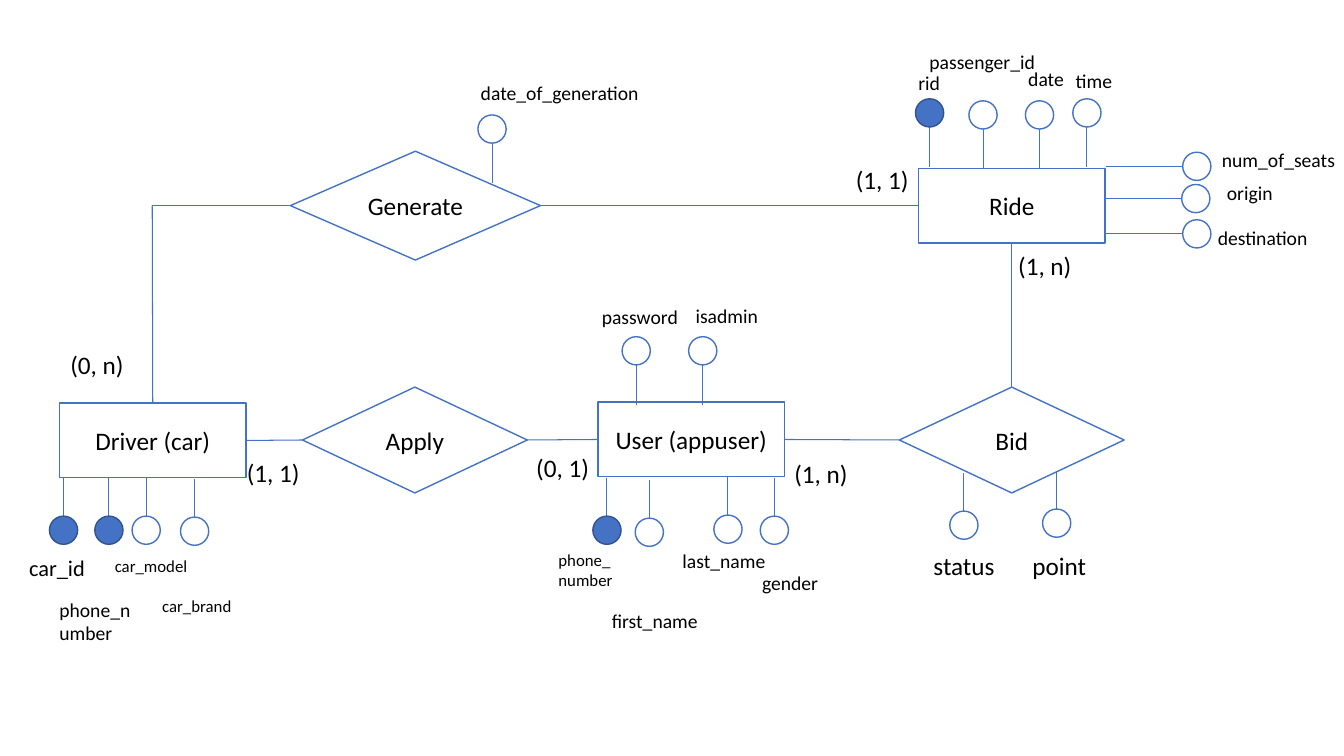
"""Build an entity-relationship diagram of a ride-sharing database."""
from pptx import Presentation
from pptx.dml.color import RGBColor
from pptx.enum.shapes import MSO_CONNECTOR as CONNECTOR, MSO_SHAPE as SHAPE
from pptx.enum.text import MSO_ANCHOR as ANCHOR, PP_ALIGN as ALIGN
from pptx.oxml.ns import qn
from pptx.util import Inches, Pt
from lxml.etree import SubElement

BLUE = RGBColor(0x44, 0x72, 0xC4)
DARK_BLUE = RGBColor(0x31, 0x53, 0x8F)
WHITE = RGBColor(0xFF, 0xFF, 0xFF)
BLACK = RGBColor(0, 0, 0)
FONT = "Calibri"
TOP, LEFT, BOTTOM, RIGHT = range(4)
DIAMETER = 0.28
STEMS = {"up": (0, -1, 0.4), "down": (0, 1, 0.38), "right": (1, 0, 0.76)}

# direction, circle left and top, name, label left, top and width, size, lines, key
ATTRIBUTES = [
    ("down", 0.49, 5.12, "car_id", 0.19, 5.45, 0.95, 16, 1, True),
    ("down", 0.94, 5.12, "phone_number", 0.49, 5.88, 0.96, 14, 2, True),
    ("down", 1.31, 5.12, "car_model", 1.04, 5.46, 1.02, 12, 1, False),
    ("down", 1.79, 5.13, "car_brand", 1.51, 5.86, 1.01, 12, 1, False),
    ("down", 5.88, 5.12, "phone_\nnumber", 5.44, 5.4, 1.15, 12, 2, True),
    ("down", 6.3, 5.14, "first_name", 5.97, 5.99, 1.24, 14, 2, False),
    ("down", 7.08, 5.11, "last_name", 6.67, 5.4, 1.24, 14, 2, False),
    ("down", 7.54, 5.12, "gender", 7.46, 5.61, 0.83, 14, 1, False),
    ("up", 6.17, 3.34, "password", 5.87, 2.98, 0.99, 14, 1, False),
    ("up", 6.83, 3.34, "isadmin", 6.8, 2.97, 0.99, 14, 1, False),
    ("down", 9.42, 5.07, "status", 9.16, 5.41, 0.83, 18, 1, False),
    ("down", 10.34, 5.05, "point", 10.14, 5.41, 0.82, 18, 1, False),
    ("up", 9.08, 0.98, "rid", 9.01, 0.65, 0.55, 14, 1, True),
    ("up", 9.61, 1, "passenger_id", 9.12, 0.45, 1.34, 14, 1, False),
    ("up", 10.17, 1, "date", 10.1, 0.61, 0.56, 14, 1, False),
    ("up", 10.64, 0.98, "time", 10.57, 0.63, 0.56, 14, 1, False),
    ("right", 11.73, 1.51, "num_of_seats", 12.02, 1.42, 1.41, 14, 1, False),
    ("right", 11.72, 1.83, "origin", 12.07, 1.75, 0.67, 14, 1, False),
    ("right", 11.73, 2.18, "destination", 11.98, 2.19, 1.2, 14, 1, False),
    ("up", 4.74, 1.14, "date_of_generation", 4.67, 0.75, 1.96, 14, 1, False),
]
CARDINALITIES = [
    ("(0, n)", 0.6, 3.42), ("(1, 1)", 2.35, 4.49), ("(0, 1)", 5.22, 4.44),
    ("(1, n)", 7.78, 4.5), ("(1, 1)", 8.39, 1.58), ("(1, n)", 10, 2.43),
]


def style_text(frame, size):
    """Set the font of every paragraph in a text frame."""
    for paragraph in frame.paragraphs:
        paragraph.font.name = FONT
        paragraph.font.size = Pt(size)
        paragraph.font.color.rgb = BLACK


def add_outlined(slide, kind, left, top, width, height, fill=WHITE, outline=BLUE):
    """Add a filled preset shape with a thin outline."""
    figure = slide.shapes.add_shape(
        kind, Inches(left), Inches(top), Inches(width), Inches(height))
    figure.shadow.inherit = False
    figure.fill.solid()
    figure.fill.fore_color.rgb = fill
    figure.line.color.rgb = outline
    figure.line.width = Pt(1)
    return figure


def add_node(slide, kind, name, left, top, width, height):
    """Add a named entity or relationship."""
    node = add_outlined(slide, kind, left, top, width, height)
    frame = node.text_frame
    frame.text = name
    frame.vertical_anchor = ANCHOR.MIDDLE
    frame.paragraphs[0].alignment = ALIGN.CENTER
    style_text(frame, 18)
    return node


def add_entity(slide, name, left, top):
    """Add an entity rectangle."""
    return add_node(slide, SHAPE.RECTANGLE, name, left, top, 1.85, 0.74)


def add_relationship(slide, name, left, top, width=2.23, height=1.05):
    """Add a relationship diamond."""
    return add_node(slide, SHAPE.DIAMOND, name, left, top, width, height)


def add_line(slide, x1, y1, x2, y2):
    """Add a thin straight line between two points."""
    line = slide.shapes.add_connector(
        CONNECTOR.STRAIGHT, Inches(x1), Inches(y1), Inches(x2), Inches(y2))
    line.line.color.rgb = BLUE
    line.line.width = Pt(0.75)
    SubElement(line._element.spPr, qn("a:effectLst"))
    return line


def join(slide, start, start_side, end, end_side):
    """Link the sides of two nodes."""
    link = add_line(slide, 0, 0, 0, 0)
    link.begin_connect(start, start_side)
    link.end_connect(end, end_side)


def add_label(slide, text, left, top, width, size, lines=1):
    """Add a text label as tall as its lines."""
    height = lines * size * 1.2 / 72 + 0.1
    label = slide.shapes.add_textbox(
        Inches(left), Inches(top), Inches(width), Inches(height))
    label.text_frame.word_wrap = True
    label.text_frame.text = text
    style_text(label.text_frame, size)


def add_attribute(slide, direction, left, top, name, label_left, label_top,
                  label_width, size, lines, is_key):
    """Add an attribute circle with its stem and label."""
    dx, dy, length = STEMS[direction]
    radius = DIAMETER / 2
    x = left + radius - dx * radius
    y = top + radius - dy * radius
    add_line(slide, x, y, x - dx * length, y - dy * length)
    fill, outline = (BLUE, DARK_BLUE) if is_key else (WHITE, BLUE)
    add_outlined(slide, SHAPE.OVAL, left, top, DIAMETER, DIAMETER, fill, outline)
    add_label(slide, name, label_left, label_top, label_width, size, lines)


def main():
    """Draw the diagram and save it."""
    deck = Presentation()
    deck.slide_width, deck.slide_height = Inches(13.33), Inches(7.5)
    slide = deck.slides.add_slide(deck.slide_layouts[6])

    user = add_entity(slide, "User (appuser)", 5.93, 3.99)
    driver = add_entity(slide, "Driver (car)", 0.59, 4)
    ride = add_entity(slide, "Ride", 9.11, 1.67)
    apply = add_relationship(slide, "Apply", 3, 3.84)
    generate = add_relationship(slide, "Generate", 2.88, 1.5, 2.48, 1.08)
    bid = add_relationship(slide, "Bid", 8.92, 3.84)

    join(slide, driver, RIGHT, apply, LEFT)
    join(slide, apply, RIGHT, user, LEFT)
    join(slide, generate, RIGHT, ride, LEFT)
    join(slide, bid, TOP, ride, BOTTOM)
    join(slide, user, RIGHT, bid, LEFT)
    corner = 1.51, 2.04
    add_line(slide, *corner, *corner).begin_connect(driver, TOP)
    add_line(slide, *corner, *corner).begin_connect(generate, LEFT)

    for attribute in ATTRIBUTES:
        add_attribute(slide, *attribute)
    for text, left, top in CARDINALITIES:
        add_label(slide, text, left, top, 0.87, 18)

    deck.save("out.pptx")


if __name__ == "__main__":
    main()
